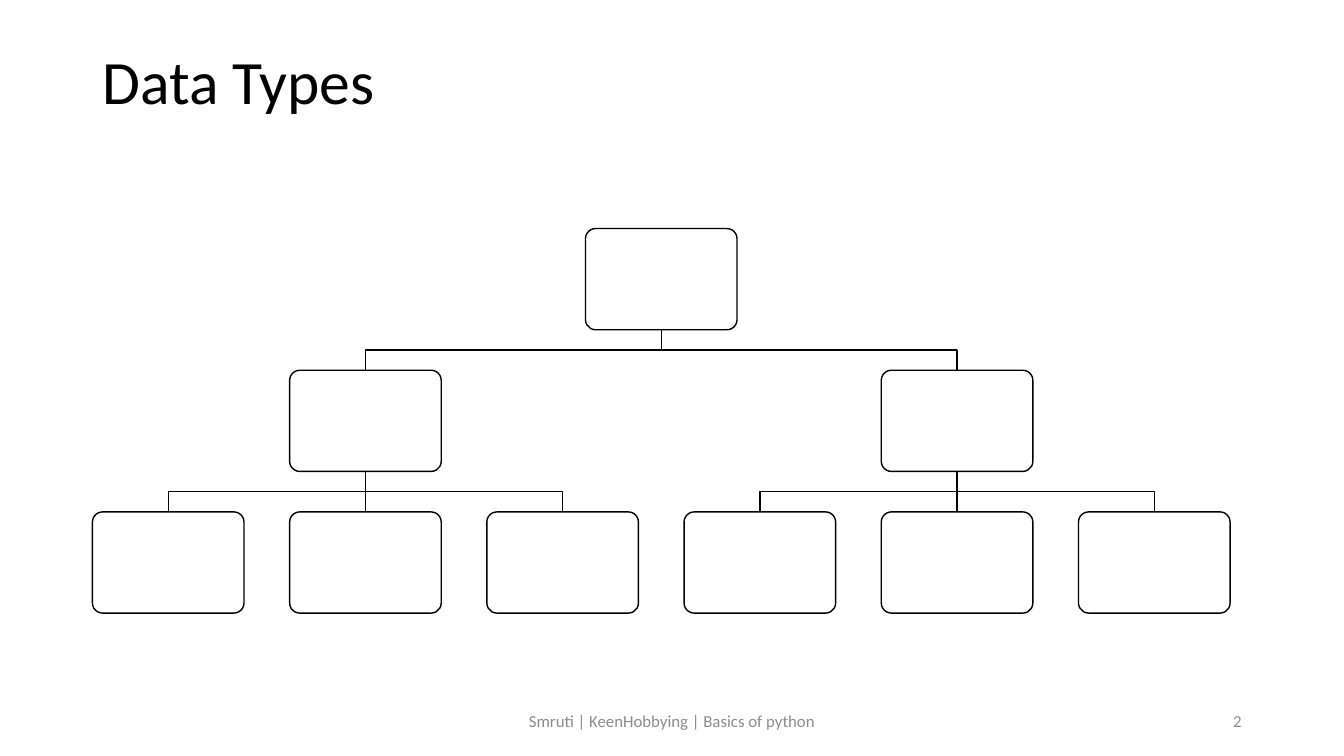
import pptx
import pptx.util
import pptx.dml.color
import pptx.enum.shapes
import pptx.enum.text
from lxml import etree

Cm = pptx.util.Cm
Pt = pptx.util.Pt
Align = pptx.enum.text.PP_ALIGN

COLORS = {"ink": "000000", "paper": "FFFFFF", "footer": "8C8C8C"}
BOX_WIDTH, BOX_HEIGHT = 3.82, 2.55
COLUMN_PITCH, LEVEL_PITCH = 4.97, 3.57
TREE_LEFT, TREE_TOP = 2.33, 5.76
TREE = (2.5, [(1, [(0, []), (1, []), (2, [])]),
              (4, [(3, []), (4, []), (5, [])])])


class SlideWriter:
    font_name = "Calibri"

    def __init__(self, page):
        self.page = page
        self.tree = page.shapes.add_group_shape()

    def color(self, name):
        return pptx.dml.color.RGBColor.from_string(COLORS[name])

    def outline(self, shape):
        shape.line.color.rgb = self.color("ink")
        shape.line.width = Pt(1)

    def text(self, words, left, top, width, height, size, color, align, spacing=1.0):
        box = self.page.shapes.add_textbox(Cm(left), Cm(top), Cm(width), Cm(height))
        frame = box.text_frame
        frame.word_wrap = True
        frame.vertical_anchor = pptx.enum.text.MSO_ANCHOR.MIDDLE
        para = frame.paragraphs[0]
        para.text = words
        para.alignment = align
        para.line_spacing = spacing
        para.font.name = self.font_name
        para.font.size = Pt(size)
        para.font.color.rgb = self.color(color)

    def box(self, left, top):
        box = self.tree.shapes.add_shape(
            pptx.enum.shapes.MSO_SHAPE.ROUNDED_RECTANGLE,
            Cm(left), Cm(top), Cm(BOX_WIDTH), Cm(BOX_HEIGHT))
        box.adjustments[0] = 0.1
        box.shadow.inherit = False
        box.fill.solid()
        box.fill.fore_color.rgb = self.color("paper")
        self.outline(box)

    def straight(self, x, top, bottom):
        line = self.tree.shapes.add_connector(
            pptx.enum.shapes.MSO_CONNECTOR.STRAIGHT, Cm(x), Cm(top), Cm(x), Cm(bottom))
        etree.SubElement(line.line._get_or_add_ln().getparent(),
                         pptx.oxml.ns.qn("a:effectLst"))
        self.outline(line)

    def elbow(self, start, top, end, bottom):
        middle = (top + bottom) / 2
        builder = self.tree.shapes.build_freeform(Cm(start), Cm(top))
        builder.add_line_segments(
            [(Cm(x), Cm(y)) for x, y in ((start, middle), (end, middle), (end, bottom))],
            close=False)
        branch = builder.convert_to_shape()
        branch.shadow.inherit = False
        branch.fill.background()
        self.outline(branch)

    def node(self, column, children, level=0):
        left = TREE_LEFT + column * COLUMN_PITCH
        top = TREE_TOP + level * LEVEL_PITCH
        center, bottom = left + BOX_WIDTH / 2, top + BOX_HEIGHT
        self.box(left, top)
        for child, grandchildren in children:
            child_center = center + (child - column) * COLUMN_PITCH
            if child == column:
                self.straight(center, bottom, top + LEVEL_PITCH)
            else:
                self.elbow(center, bottom, child_center, top + LEVEL_PITCH)
            self.node(child, grandchildren, level + 1)


deck = pptx.Presentation()
deck.slide_width, deck.slide_height = Cm(33.87), Cm(19.05)
writer = SlideWriter(deck.slides.add_slide(deck.slide_layouts[6]))
writer.text("Data Types", 2.33, 1.01, 29.21, 2.24, 44, "ink", Align.LEFT, 0.9)
writer.node(*TREE)
writer.text("Smruti | KeenHobbying | Basics of python",
            11.22, 17.66, 11.43, 1.01, 12, "footer", Align.CENTER)
writer.text("2", 23.92, 17.66, 7.62, 1.01, 12, "footer", Align.RIGHT)
deck.save("out.pptx")
